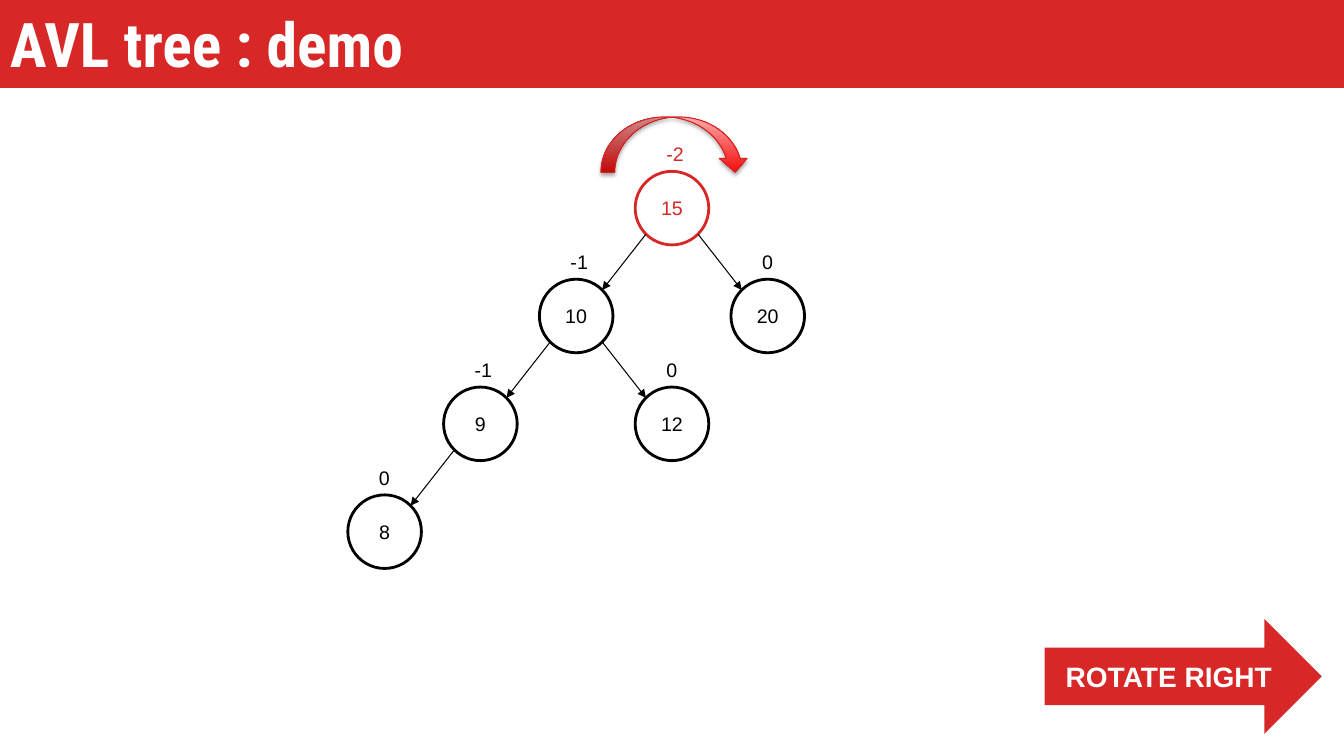
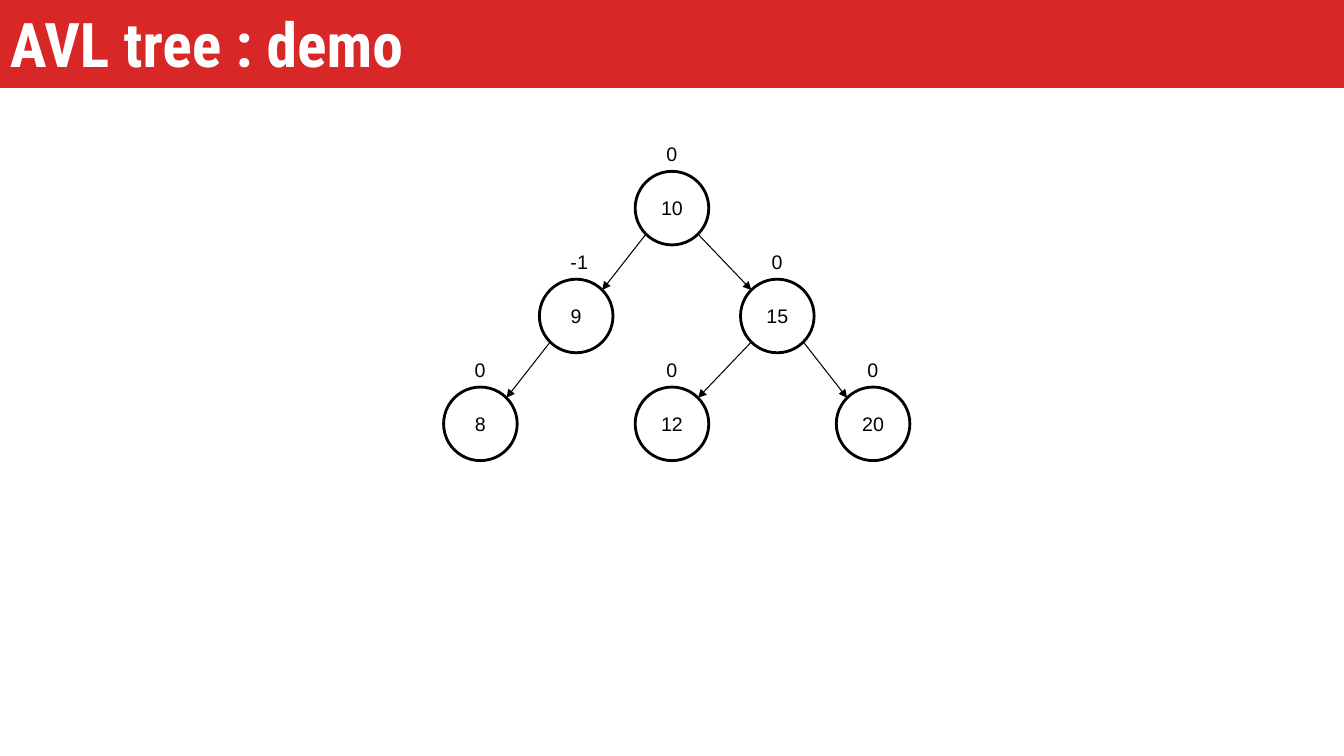
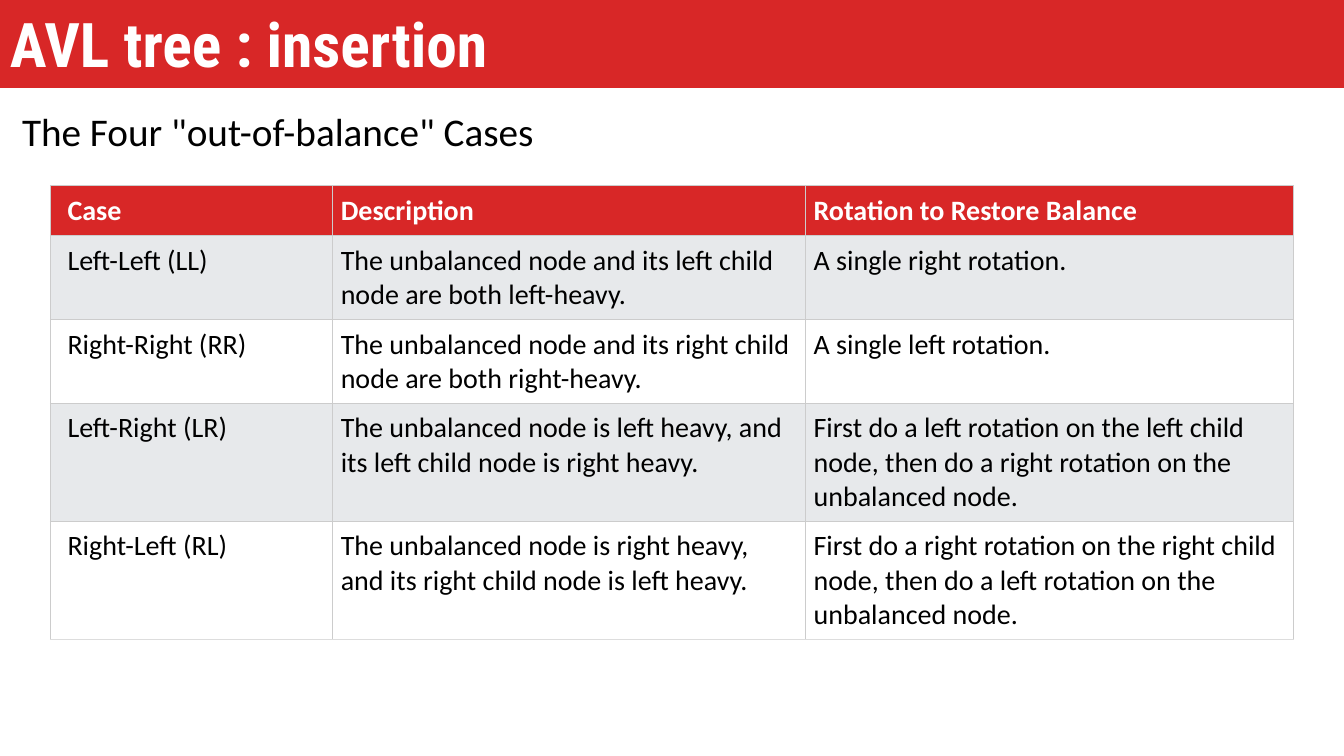
"""Build three slides on AVL trees: a rotation demo and the four unbalanced cases."""
import math

from lxml import etree
from pptx import Presentation
from pptx import util as u
from pptx.dml.color import RGBColor
from pptx.enum import shapes, text
from pptx.oxml import ns

COLOURS = {
    "red": "D82727", "rim": "D82222", "deep": "F30C0C", "pale": "FFABAB",
    "black": "000000", "white": "FFFFFF", "band": "E7E9EB",
    "grid": "CCCCCC", "grid end": "DDDDDD",
}
FORMATS = {
    "title": {"name": "Roboto Condensed", "size": u.Pt(44), "bold": True},
    "lead": {"name": "Calibri", "size": u.Pt(28)},
    "node": {"name": "Arial", "size": u.Pt(14)},
    "action": {"name": "Arial", "size": u.Pt(20), "bold": True},
    "head": {"name": "Calibri", "size": u.Pt(20), "bold": True},
    "body": {"name": "Calibri", "size": u.Pt(20), "bold": False},
}
SHAPE = shapes.MSO_SHAPE
NODE = 0.73
ROOT_LEFT, ROOT_TOP = 6.3, 1.7
COLUMN_STEP, LEVEL_STEP = 0.95, 1.07

BEFORE = {
    "15": (0, 0, "-2", None, "red"),
    "10": (-1, 1, "-1", "15", "black"),
    "20": (1, 1, "0", "15", "black"),
    "9": (-2, 2, "-1", "10", "black"),
    "12": (0, 2, "0", "10", "black"),
    "8": (-3, 3, "0", "9", "black"),
}
AFTER = {
    "10": (0, 0, "0", None, "black"),
    "9": (-1, 1, "-1", "10", "black"),
    "15": (1.1, 1, "0", "10", "black"),
    "8": (-2, 2, "0", "9", "black"),
    "12": (0, 2, "0", "15", "black"),
    "20": (2.1, 2, "0", "15", "black"),
}
CASES = [
    ("Case", "Description", "Rotation to Restore Balance"),
    ("Left-Left (LL)",
     "The unbalanced node and its left child node are both left-heavy.",
     "A single right rotation."),
    ("Right-Right (RR)",
     "The unbalanced node and its right child node are both right-heavy.",
     "A single left rotation."),
    ("Left-Right (LR)",
     "The unbalanced node is left heavy, and its left child node is right heavy.",
     "First do a left rotation on the left child node, "
     "then do a right rotation on the unbalanced node."),
    ("Right-Left (RL)",
     "The unbalanced node is right heavy, and its right child node is left heavy.",
     "First do a right rotation on the right child node, "
     "then do a left rotation on the unbalanced node."),
]


def rgb(colour):
    return RGBColor.from_string(COLOURS[colour])


def add_xml(parent, tag, **attributes):
    return etree.SubElement(parent, ns.qn(tag), attributes)


def box(*lengths):
    return [u.Inches(length) for length in lengths]


class Deck:
    def __init__(self):
        self.show = Presentation()
        self.show.slide_width, self.show.slide_height = box(13.33, 7.5)
        self.slide = None

    def start(self, heading):
        self.slide = self.show.slides.add_slide(self.show.slide_layouts[6])
        banner = self.shape(SHAPE.RECTANGLE, (0, 0, 13.33, 0.86), "red", "red", 2)
        self.put_text(banner.text_frame, heading, "title", "white")

    def put_text(self, frame, words, style, colour, align=text.PP_ALIGN.LEFT):
        frame.word_wrap = True
        paragraph = frame.paragraphs[0]
        paragraph.alignment = align
        run = paragraph.add_run()
        run.text = words
        for name, value in FORMATS[style].items():
            setattr(run.font, name, value)
        run.font.color.rgb = rgb(colour)

    def shape(self, preset, place, fill, rim=None, weight=0.75):
        figure = self.slide.shapes.add_shape(preset, *box(*place))
        figure.shadow.inherit = False
        figure.fill.solid()
        figure.fill.fore_color.rgb = rgb(fill)
        if rim:
            figure.line.color.rgb = rgb(rim)
            figure.line.width = u.Pt(weight)
        else:
            figure.line.fill.background()
        figure.text_frame.vertical_anchor = text.MSO_ANCHOR.MIDDLE
        return figure

    def label(self, place, words, style, colour="black"):
        caption = self.slide.shapes.add_textbox(*box(*place))
        self.put_text(caption.text_frame, words, style, colour)

    def node(self, left, top, key, balance, colour):
        circle = self.shape(SHAPE.OVAL, (left, top, NODE, NODE), "white", colour, 2)
        self.put_text(circle.text_frame, key, "node", colour, text.PP_ALIGN.CENTER)
        self.label((left + 0.21, top - 0.34, 0.42, 0.34), balance, "node", colour)

    def edge(self, parent, child):
        reach = NODE / 2 * math.sqrt(0.5)
        side = math.copysign(reach, child[0] - parent[0])
        middle = NODE / 2
        link = self.slide.shapes.add_connector(
            shapes.MSO_CONNECTOR.STRAIGHT,
            *box(parent[0] + middle + side, parent[1] + middle + reach,
                 child[0] + middle - side, child[1] + middle - reach))
        link.line.color.rgb = rgb("black")
        link.line.width = u.Pt(0.75)
        add_xml(link.line._get_or_add_ln(), "a:tailEnd", type="triangle")
        add_xml(link._element.spPr, "a:effectLst")

    def tree(self, nodes):
        spots = {key: (ROOT_LEFT + column * COLUMN_STEP, ROOT_TOP + level * LEVEL_STEP)
                 for key, (column, level, *_) in nodes.items()}
        for key, (_, _, balance, parent, colour) in nodes.items():
            self.node(*spots[key], key, balance, colour)
            if parent:
                self.edge(spots[parent], spots[key])

    def rotation(self, place):
        turn = self.shape(SHAPE.CURVED_DOWN_ARROW, place, "deep", "rim")
        turn.fill.gradient()
        turn.fill.gradient_angle = 90
        for stop, colour in zip(turn.fill.gradient_stops, ("deep", "pale")):
            stop.color.rgb = rgb(colour)
        effects = turn._element.spPr.find(ns.qn("a:effectLst"))
        shadow = add_xml(effects, "a:outerShdw", blurRad=str(u.Pt(3.1)),
                         dist=str(u.Pt(1.8)), dir="5400000", rotWithShape="0")
        shade = add_xml(shadow, "a:srgbClr", val=COLOURS["black"])
        add_xml(shade, "a:alpha", val="35000")

    def action(self, place, words):
        arrow = self.shape(SHAPE.RIGHT_ARROW, place, "red")
        self.put_text(arrow.text_frame, words, "action", "white", text.PP_ALIGN.CENTER)

    def borders(self, cell, bottom):
        properties = cell._tc.get_or_add_tcPr()
        for side in "LRTB":
            edge = add_xml(properties, f"a:ln{side}", w=str(u.Pt(0.75)))
            paint = add_xml(edge, "a:solidFill")
            add_xml(paint, "a:srgbClr", val=COLOURS[bottom if side == "B" else "grid"])

    def table(self, place, rows, widths, heights):
        grid = self.slide.shapes.add_table(len(rows), len(widths), *box(*place)).table
        for column, width in zip(grid.columns, widths):
            column.width = u.Inches(width)
        for row, height in zip(grid.rows, heights):
            row.height = u.Inches(height)
        for r, row in enumerate(rows):
            fill = "red" if r == 0 else "band" if r % 2 else "white"
            style, ink = ("body", "black") if r else ("head", "white")
            for c, words in enumerate(row):
                cell = grid.cell(r, c)
                margins = {"left": 0.08 if c else 0.17, "top": 0.08,
                           "right": 0.08, "bottom": 0.08}
                for side, margin in margins.items():
                    setattr(cell, f"margin_{side}", u.Inches(margin))
                self.borders(cell, "grid end" if r == len(rows) - 1 else "grid")
                cell.fill.solid()
                cell.fill.fore_color.rgb = rgb(fill)
                self.put_text(cell.text_frame, words, style, ink)


def main():
    deck = Deck()

    deck.start("AVL tree : demo")
    deck.tree(BEFORE)
    deck.rotation((5.96, 1.16, 1.47, 0.55))
    deck.action((10.36, 6.14, 2.75, 1.14), "ROTATE RIGHT")

    deck.start("AVL tree : demo")
    deck.tree(AFTER)

    deck.start("AVL tree : insertion")
    deck.label((0.12, 1.02, 13.08, 0.57), 'The Four "out-of-balance" Cases', "lead")
    deck.table((0.5, 1.84, 12.33, 4.5), CASES,
               (2.8, 4.69, 4.84), (0.5, 0.83, 0.83, 1.17, 1.17))

    deck.show.save("out.pptx")


if __name__ == "__main__":
    main()
